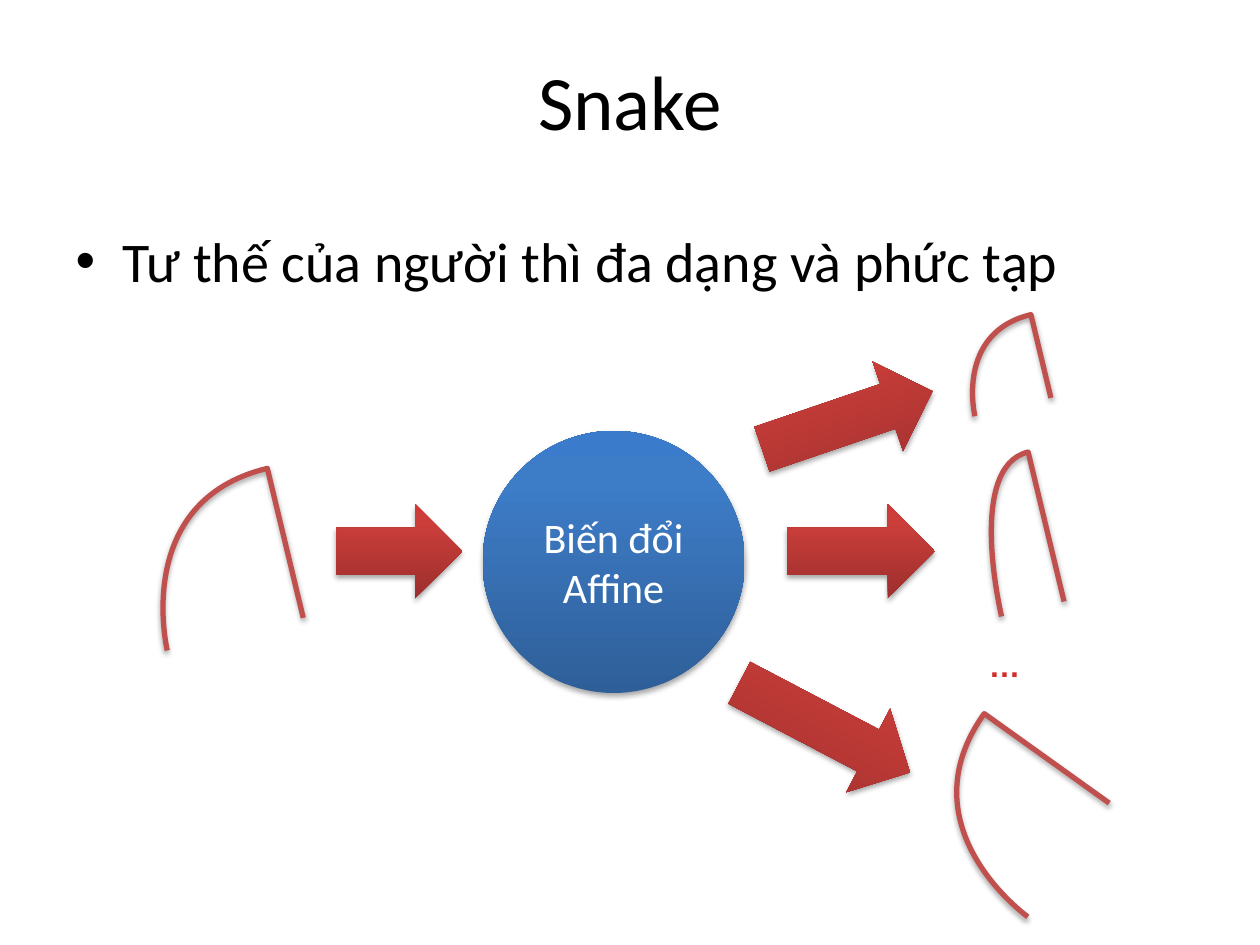
from copy import deepcopy

from lxml import etree
from pptx import Presentation
from pptx.dml.color import RGBColor
from pptx.enum.shapes import MSO_SHAPE
from pptx.enum.text import MSO_ANCHOR, MSO_AUTO_SIZE, PP_ALIGN
from pptx.oxml.ns import qn
from pptx.util import Inches, Pt

ELLIPSE, RIGHT_ARROW = MSO_SHAPE.OVAL, MSO_SHAPE.RIGHT_ARROW
CENTER, MIDDLE = PP_ALIGN.CENTER, MSO_ANCHOR.MIDDLE

COLORS = {"text": "000000", "on_fill": "FFFFFF", "curve": "C0504D",
          "dots": "D02F2C", "shadow": "000000"}
BLUE = [(0, "2F5F99"), (0.8, "3D7CC7"), (1, "3A7CCB")]
RED = [(0, "9C2F2D"), (0.8, "CB3E3A"), (1, "CE3B37")]

# Start point, then three Bezier points for each piece of the snake.
SNAKE_SIZE = (1.11, 1.22)
SNAKE_POINTS = [
    (0, 0.82),
    (0.11, 0.84), (0.22, 0.86), (0.31, 0.74),
    (0.4, 0.62), (0.44, 0.18), (0.55, 0.09),
    (0.67, 0), (0.91, 0.11), (1, 0.19),
    (1.09, 0.29), (1.1, 0.51), (1.1, 0.64),
    (1.11, 0.76), (1.04, 0.86), (1.03, 0.96),
    (1.02, 1.05), (1.05, 1.22), (1.05, 1.22),
]
# Left, top, width, height and rotation.
SNAKES = [
    ((1.17, 3.83, *SNAKE_SIZE), -13.5),
    ((7.65, 2.56, 0.62, 0.68), -13.5),
    ((7.8, 3.63, 0.51, 1.22), -13.5),
    ((7.43, 5.86, *SNAKE_SIZE), -54.4),
]
ARROWS = [
    ((2.67, 4, 1, 0.75), 0),
    ((6.25, 4, 1.17, 0.75), 0),
    ((6.01, 2.96, 1.43, 0.75), -18.8),
    ((5.78, 5.4, 1.53, 0.75), 27.7),
]


def color(name):
    return RGBColor.from_string(COLORS[name])


def place(shape, box, rotation=0):
    for side, length in zip(("left", "top", "width", "height"), box):
        setattr(shape, side, Inches(length))
    if rotation:
        shape.rotation = rotation


def write(shape, text, color_name, **font_values):
    paragraph = shape.text_frame.paragraphs[0]
    run = paragraph.add_run()
    run.text = text
    for key, value in {"name": "Calibri", **font_values}.items():
        setattr(run.font, key, value)
    run.font.color.rgb = color(color_name)
    return paragraph


def add_shadow(shape):
    shape.shadow.inherit = False
    effects = shape._element.spPr.find(qn("a:effectLst"))
    shadow = etree.SubElement(effects, qn("a:outerShdw"), blurRad="40000",
                              dist="23000", dir="5400000", rotWithShape="0")
    tint = etree.SubElement(shadow, qn("a:srgbClr"), val=COLORS["shadow"])
    etree.SubElement(tint, qn("a:alpha"), val="35000")


def fill_gradient(shape, stops):
    shape.fill.gradient()
    shape.fill.gradient_angle = 90
    stop_list = shape._element.spPr.find(qn("a:gradFill")).find(qn("a:gsLst"))
    stop_list.append(deepcopy(stop_list[-1]))
    for stop, (position, tint) in zip(shape.fill.gradient_stops, stops):
        stop.position = position
        stop.color.rgb = RGBColor.from_string(tint)


def add_block(slide, kind, box, stops, rotation=0):
    block = slide.shapes.add_shape(kind, *map(Inches, box))
    place(block, box, rotation)
    fill_gradient(block, stops)
    block.line.fill.background()
    add_shadow(block)
    return block


def add_snake(slide, box, rotation):
    """Draw the snake outline as a smooth open curve stretched to the box."""
    builder = slide.shapes.build_freeform(*SNAKE_POINTS[0], scale=Inches(1))
    builder.add_line_segments(SNAKE_POINTS[1:], close=False)
    snake = builder.convert_to_shape()
    segments = list(snake._element.iter(qn("a:lnTo")))
    for first in range(0, len(segments), 3):
        piece = segments[first:first + 3]
        curve = etree.Element(qn("a:cubicBezTo"))
        piece[0].addprevious(curve)
        for segment in piece:
            curve.append(segment[0])
            segment.getparent().remove(segment)
    place(snake, box, rotation)
    snake.fill.background()
    snake.line.color.rgb = color("curve")
    snake.line.width = Pt(3)
    add_shadow(snake)


def add_heading(slide, box):
    title = slide.shapes.title
    place(title, box)
    title.text_frame.vertical_anchor = MIDDLE
    write(title, "Snake", "text", size=Pt(44)).alignment = CENTER


def add_statement(slide, box):
    body = slide.placeholders[1]
    place(body, box)
    write(body, "Tư thế của người thì đa dạng và phức tạp", "text", size=Pt(32))


def add_transform(slide, box):
    circle = add_block(slide, ELLIPSE, box, BLUE)
    circle.text_frame.word_wrap = True
    circle.text_frame.vertical_anchor = MIDDLE
    label = write(circle, "Biến đổi Affine", "on_fill", size=Pt(24))
    label.alignment = CENTER


def add_dots(slide, box):
    dots = slide.shapes.add_textbox(*map(Inches, box))
    dots.text_frame.word_wrap = False
    dots.text_frame.auto_size = MSO_AUTO_SIZE.SHAPE_TO_FIT_TEXT
    write(dots, "…", "dots", name="Arial", size=Pt(18), bold=True)


def main():
    deck = Presentation()
    deck.slide_width, deck.slide_height = Inches(10), Inches(7.5)
    slide = deck.slides.add_slide(deck.slide_layouts[1])
    add_heading(slide, (0.5, 0.17, 9, 1.25))
    add_statement(slide, (0.5, 1.75, 9, 4.95))
    add_transform(slide, (3.83, 3.42, 2.08, 2.08))
    for box, rotation in SNAKES:
        add_snake(slide, box, rotation)
    add_dots(slide, (7.75, 5.08, 0.45, 0.4))
    for box, rotation in ARROWS:
        add_block(slide, RIGHT_ARROW, box, RED, rotation)
    deck.save("out.pptx")


if __name__ == "__main__":
    main()
